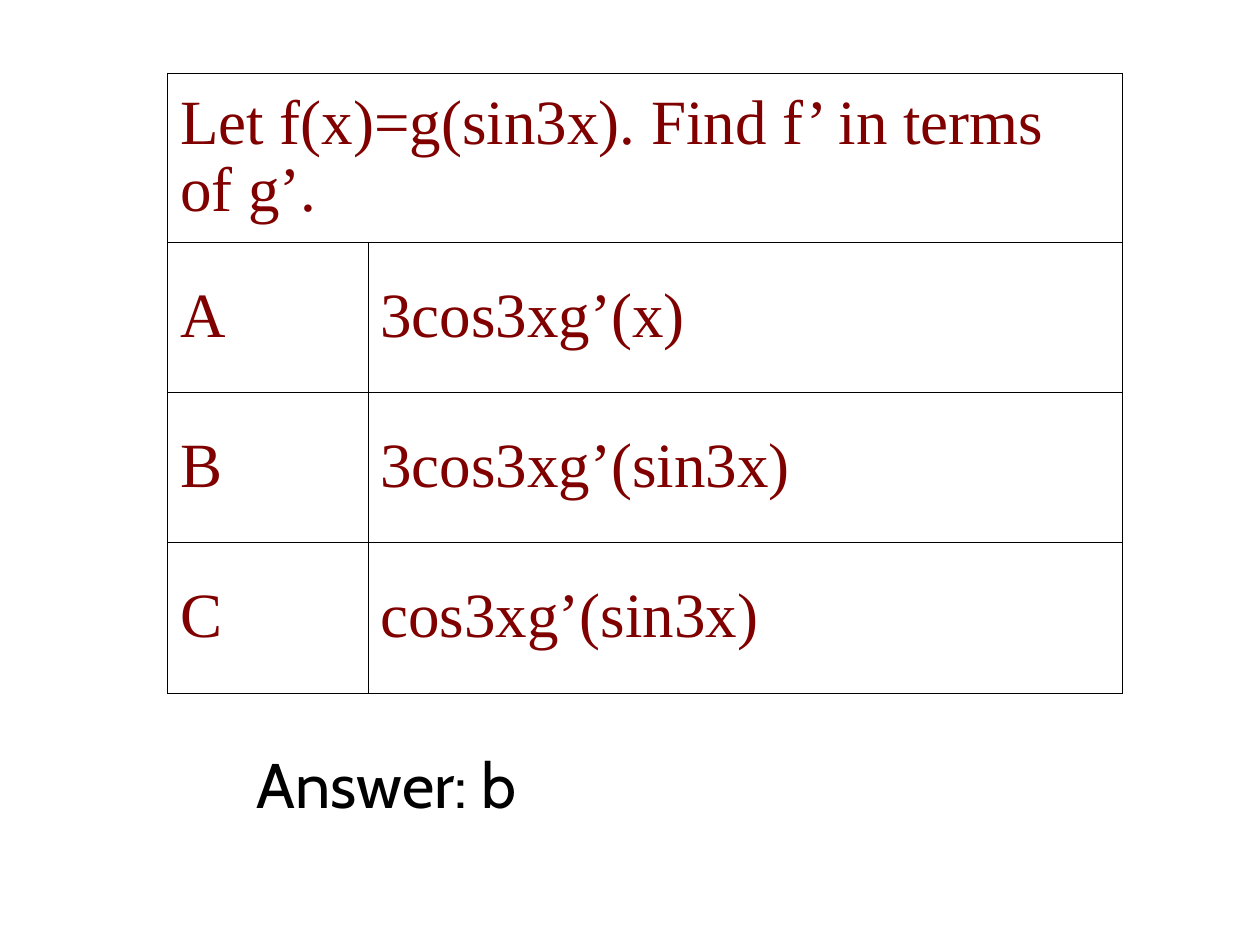
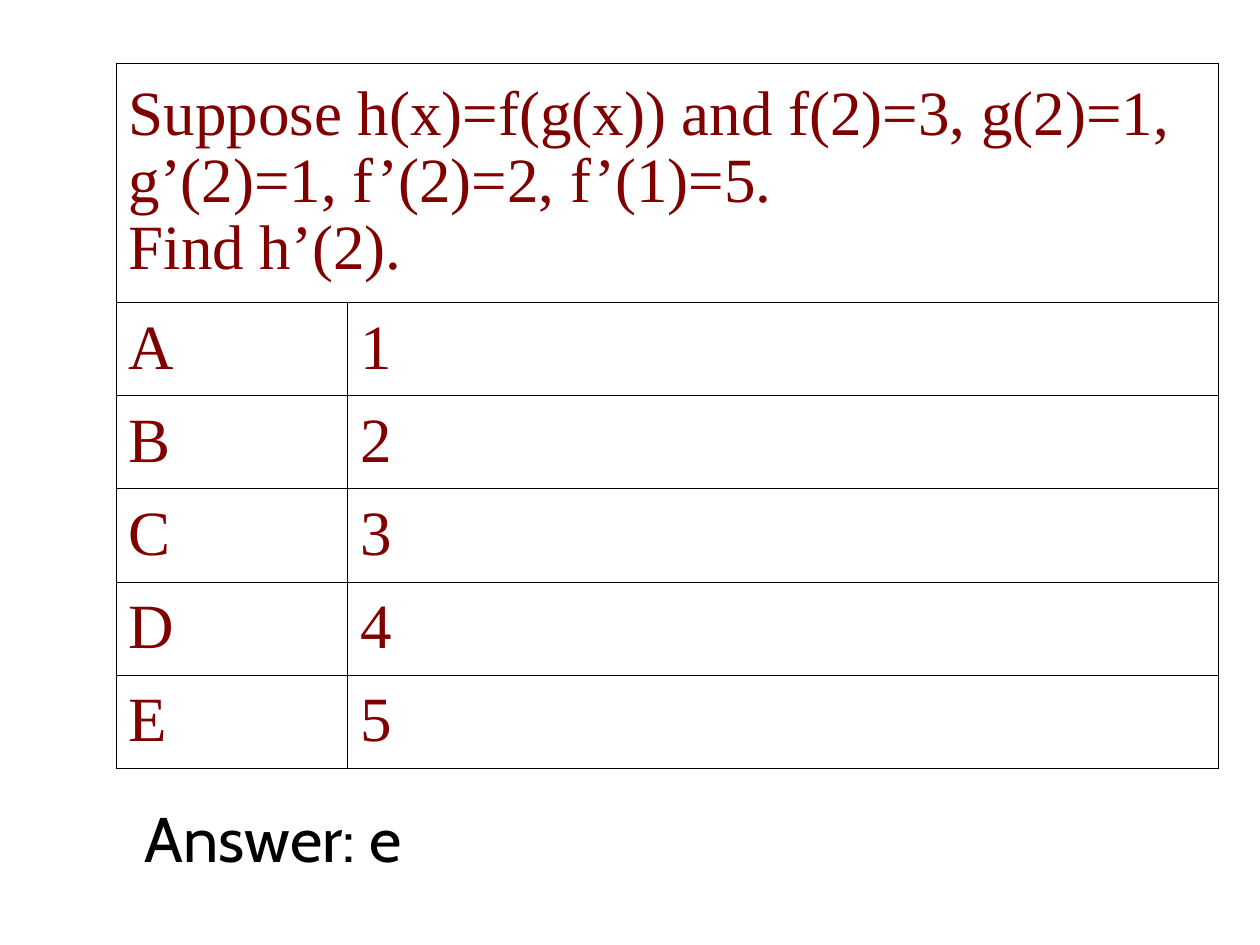
from dataclasses import dataclass

from lxml.etree import SubElement
from pptx import Presentation
from pptx.dml.color import RGBColor
from pptx.enum.text import MSO_ANCHOR, MSO_AUTO_SIZE
from pptx.oxml.ns import qn
from pptx.util import Inches, Pt


@dataclass(frozen=True)
class Theme:
    paper: RGBColor = RGBColor(0xFF, 0xFF, 0xFF)
    question: RGBColor = RGBColor(0x80, 0x00, 0x00)
    answer: RGBColor = RGBColor(0x00, 0x00, 0x00)
    rule: str = "000000"
    rule_width: float = 0.45
    question_font: str = "Times New Roman"
    answer_font: str = "Cabin"
    size: int = 36
    line_spacing: float = 0.96


THEME = Theme()


def style_text(tf, font_name, color):
    for p in tf.paragraphs:
        p.font.name = font_name
        p.font.size = Pt(THEME.size)
        p.font.color.rgb = color


def set_borders(cell):
    """Rule all four sides; the lines must precede the fill in the cell XML."""
    tcPr = cell._tc.get_or_add_tcPr()
    for side in ("a:lnL", "a:lnR", "a:lnT", "a:lnB"):
        ln = SubElement(tcPr, qn(side), w=str(Pt(THEME.rule_width)))
        fill = SubElement(ln, qn("a:solidFill"))
        SubElement(fill, qn("a:srgbClr"), val=THEME.rule)


def fill_cell(cell, text):
    cell.text = text
    cell.vertical_anchor = MSO_ANCHOR.MIDDLE
    style_text(cell.text_frame, THEME.question_font, THEME.question)
    for p in cell.text_frame.paragraphs:
        p.line_spacing = THEME.line_spacing


def add_choices(slide, box, letter_width, question_height, question, choices):
    """Place the question across the top row and lettered choices below it."""
    left, top, width, height = box
    frame = slide.shapes.add_table(len(choices) + 1, 2, *map(Inches, box))
    table = frame.table
    table.first_row = table.horz_banding = False
    table.columns[0].width = Inches(letter_width)
    table.columns[1].width = Inches(width - letter_width)
    choice_height = (height - question_height) / len(choices)
    for i, row in enumerate(table.rows):
        row.height = Inches(choice_height if i else question_height)
    for cell in table.iter_cells():
        set_borders(cell)
        cell.fill.solid()
        cell.fill.fore_color.rgb = THEME.paper

    table.cell(0, 0).merge(table.cell(0, 1))
    fill_cell(table.cell(0, 0), question)
    for i, (letter, choice) in enumerate(zip("ABCDE", choices), start=1):
        fill_cell(table.cell(i, 0), letter)
        fill_cell(table.cell(i, 1), choice)


def add_answer(slide, box, letter):
    tf = slide.shapes.add_textbox(*map(Inches, box)).text_frame
    tf.word_wrap = False
    tf.auto_size = MSO_AUTO_SIZE.SHAPE_TO_FIT_TEXT
    tf.text = f"Answer: {letter}"
    style_text(tf, THEME.answer_font, THEME.answer)


def add_quiz_slide(prs, table, answer_box, answer):
    slide = prs.slides.add_slide(prs.slide_layouts[6])
    add_choices(slide, **table)
    add_answer(slide, answer_box, answer)


def main():
    prs = Presentation()
    prs.slide_width, prs.slide_height = Inches(10), Inches(7.5)
    add_quiz_slide(
        prs,
        table=dict(
            box=(1.33, 0.58, 7.58, 4.92),
            letter_width=1.59,
            question_height=1.34,
            question="Let f(x)=g(sin3x). Find f’ in terms of g’.",
            choices=["3cos3xg’(x)", "3cos3xg’(sin3x)", "cos3xg’(sin3x)"],
        ),
        answer_box=(1.94, 5.87, 2.52, 0.7),
        answer="b",
    )
    add_quiz_slide(
        prs,
        table=dict(
            box=(0.92, 0.5, 8.75, 5.6),
            letter_width=1.84,
            question_height=1.9,
            question="Suppose h(x)=f(g(x)) and f(2)=3, g(2)=1, "
                     "g’(2)=1, f’(2)=2, f’(1)=5.\nFind h’(2).",
            choices=["1", "2", "3", "4", "5"],
        ),
        answer_box=(1.05, 6.3, 2.49, 0.7),
        answer="e",
    )
    prs.save("out.pptx")


if __name__ == "__main__":
    main()
